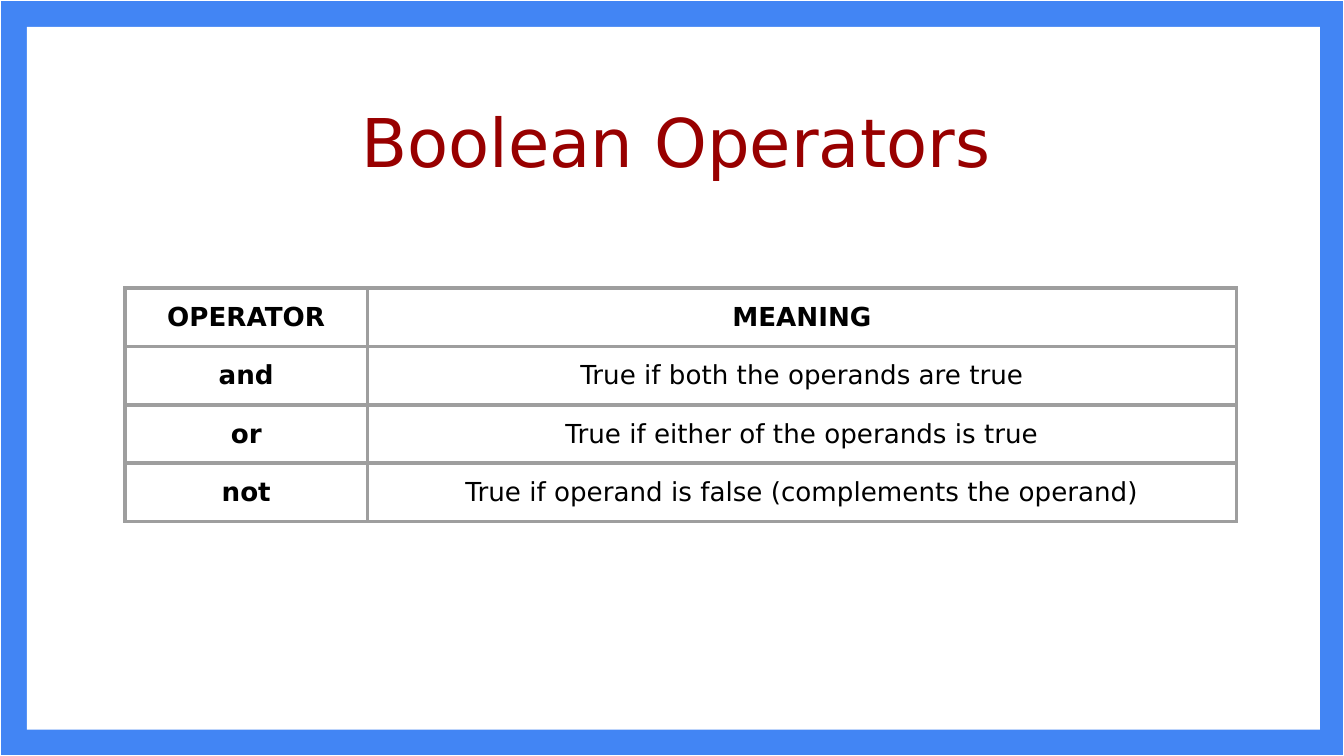
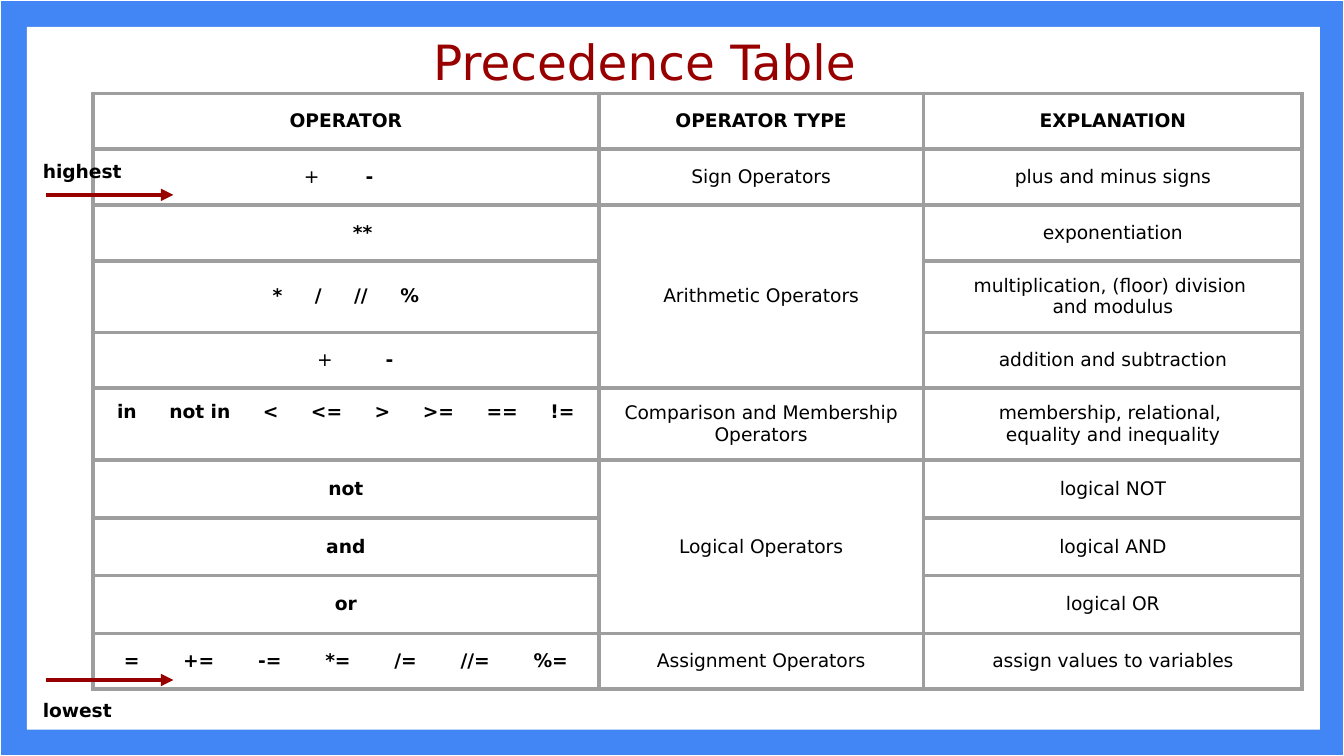
from dataclasses import dataclass

from lxml import etree
from pptx import Presentation
from pptx.dml.color import RGBColor
from pptx.enum.shapes import MSO_CONNECTOR, MSO_SHAPE
from pptx.enum.text import MSO_ANCHOR, PP_ALIGN
from pptx.oxml import parse_xml
from pptx.oxml.ns import nsdecls, qn
from pptx.util import Pt

RECT = MSO_SHAPE.RECTANGLE
STRAIGHT = MSO_CONNECTOR.STRAIGHT
CENTER, LEFT = PP_ALIGN.CENTER, PP_ALIGN.LEFT
MIDDLE, TOP = MSO_ANCHOR.MIDDLE, MSO_ANCHOR.TOP

PX = 4572  # 200 px to the inch
INSET = 20 * PX


@dataclass(frozen=True)
class Theme:
    font: str = "DejaVu Sans"
    frame: RGBColor = RGBColor(0x42, 0x85, 0xF4)
    paper: RGBColor = RGBColor(0xFF, 0xFF, 0xFF)
    accent: RGBColor = RGBColor(0x98, 0x00, 0x00)
    ink: RGBColor = RGBColor(0x00, 0x00, 0x00)
    grid: str = "9E9E9E"
    rule: float = 2.25
    title_large: int = 36
    title_small: int = 26
    body_large: int = 14
    body_small: int = 10


THEME = Theme()


def add_text(shapes, box, text, size, color, bold=False):
    tf = shapes.add_textbox(*(v * PX for v in box)).text_frame
    tf.word_wrap = True
    tf.margin_left = tf.margin_right = tf.margin_top = tf.margin_bottom = INSET
    p = tf.paragraphs[0]
    p.text = text
    p.font.name, p.font.size, p.font.bold = THEME.font, Pt(size), bold
    p.font.color.rgb = color
    return p


def add_grid(shapes, left, top, widths, heights, rows, size):
    """Add a ruled table; the header row and first column are bold."""
    box = (left, top, sum(widths), sum(heights))
    table = shapes.add_table(len(rows), len(widths), *(v * PX for v in box)).table
    table.first_row = table.horz_banding = False
    for column, width in zip(table.columns, widths):
        column.width = width * PX
    for row, height in zip(table.rows, heights):
        row.height = height * PX
    for i, row in enumerate(rows):
        for j, text in enumerate(row):
            cell = table.cell(i, j)
            cell.margin_left = cell.margin_right = INSET
            cell.margin_top = cell.margin_bottom = INSET
            cell.vertical_anchor = MIDDLE
            tcPr = cell._tc.get_or_add_tcPr()
            for side in ("lnL", "lnR", "lnT", "lnB"):
                tcPr.append(parse_xml(
                    f'<a:{side} {nsdecls("a")} w="{Pt(THEME.rule)}"><a:solidFill>'
                    f'<a:srgbClr val="{THEME.grid}"/></a:solidFill></a:{side}>'))
            cell.fill.background()
            p = cell.text_frame.paragraphs[0]
            p.text = text
            p.alignment = CENTER
            p.font.name, p.font.size = THEME.font, Pt(size)
            p.font.bold = i == 0 or j == 0
            p.font.color.rgb = THEME.ink
    return table


prs = Presentation()
prs.slide_width, prs.slide_height = 2000 * PX, 1125 * PX

titles = [
    ("Boolean Operators", (518, 130, 990, 150), THEME.title_large),
    ("Precedence Table", (625, 27, 826, 96), THEME.title_small),
]
slides = []
for title, box, size in titles:
    s = prs.slides.add_slide(prs.slide_layouts[6])
    for area, color in (((0, 0, 2000, 1125), THEME.frame), ((40, 40, 1924, 1046), THEME.paper)):
        sp = s.shapes.add_shape(RECT, *(v * PX for v in area))
        sp.shadow.inherit = False
        sp.fill.solid()
        sp.fill.fore_color.rgb = color
        if color == THEME.frame:
            sp.line.color.rgb = THEME.paper
            sp.line.width = Pt(0.75)
        else:
            sp.line.fill.background()
    add_text(s.shapes, box, title, size, THEME.accent)
    slides.append(s)
boolean, precedence = slides

# Boolean operators
add_grid(boolean.shapes, 186, 429, [361, 1293], [85] * 4, [
    ("OPERATOR", "MEANING"),
    ("and", "True if both the operands are true"),
    ("or", "True if either of the operands is true"),
    ("not", "True if operand is false (complements the operand)"),
], THEME.body_large)

# Precedence table
table = add_grid(
    precedence.shapes, 138, 139, [753, 483, 564],
    [83, 83, 83, 104, 83, 105, 86, 86, 86, 83], [
        ("OPERATOR", "OPERATOR TYPE", "EXPLANATION"),
        ("-", "Sign Operators", "plus and minus signs"),
        ("**", "Arithmetic Operators", "exponentiation"),
        ("", "", "multiplication, (floor) division \nand modulus"),
        ("-", "", "addition and subtraction"),
        ("", "Comparison and Membership Operators",
         "membership, relational, \nequality and inequality"),
        ("not", "Logical Operators", "logical NOT"),
        ("and", "", "logical AND"),
        ("or", "", "logical OR"),
        ("", "Assignment Operators", "assign values to variables"),
    ], THEME.body_small)
for first, last in ((2, 4), (6, 8)):
    table.cell(first, 1).merge(table.cell(last, 1))
table.cell(5, 0).vertical_anchor = TOP
pPr = table.cell(2, 0).text_frame.paragraphs[0]._p.get_or_add_pPr()
pPr.set("marL", str(50 * PX))

# Operators sharing a cell are set apart by one widened space (points added)
operator_lists = {
    3: (["*", "/", "//", "%"], 14),
    5: (["in", "not in", "<", "<=", ">", ">=", "==", "!="], 14),
    9: (["=", "+=", "-=", "*=", "/=", "//=", "%="], 20),
}
for row, (operators, gap) in operator_lists.items():
    p = table.cell(row, 0).text_frame.paragraphs[0]
    for i, operator in enumerate(operators):
        if i:
            space = p.add_run()
            space.text = " "
            space._r.get_or_add_rPr().set("spc", str(gap * 100))
        p.add_run().text = operator

# The plus sign is the bullet of the minus sign
for row, margin, hang in ((1, 386, 92), (4, 416, 102)):
    p = table.cell(row, 0).text_frame.paragraphs[0]
    p.alignment = LEFT
    pPr = p._p.get_or_add_pPr()
    pPr.set("marL", str(margin * PX))
    pPr.set("indent", str(-hang * PX))
    pPr.insert(0, parse_xml(f'<a:buFont {nsdecls("a")} typeface="{THEME.font}"/>'))
    pPr.insert(1, parse_xml(f'<a:buChar {nsdecls("a")} char="+"/>'))

for label, label_top, arrow_y in (("highest", 214, 290), ("lowest", 1016, 1012)):
    group = precedence.shapes.add_group_shape()
    p = add_text(group.shapes, (44, label_top, 190, 102), label,
                 THEME.body_small, THEME.ink, bold=True)
    p.line_spacing = 1.15
    p.space_after = Pt(16)
    arrow = group.shapes.add_connector(
        STRAIGHT, 68 * PX, arrow_y * PX, 258 * PX, arrow_y * PX)
    arrow.line.color.rgb = THEME.accent
    arrow.line.width = Pt(THEME.rule)
    etree.SubElement(arrow.line._get_or_add_ln(), qn("a:tailEnd"), type="triangle")
    etree.SubElement(arrow._element.spPr, qn("a:effectLst"))

prs.save("out.pptx")
